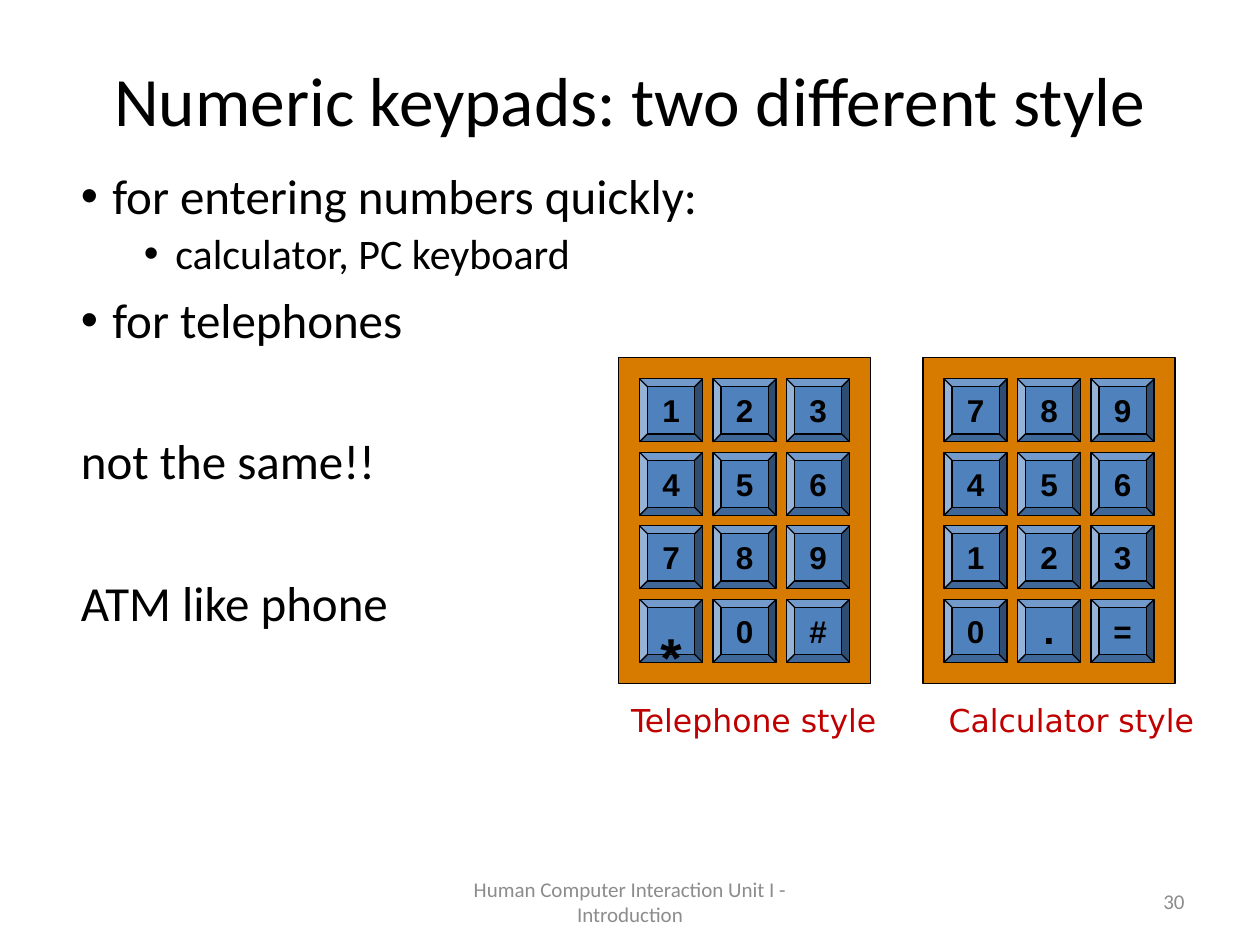
from lxml import etree
from pptx import Presentation
from pptx.dml.color import RGBColor
from pptx.enum.shapes import MSO_SHAPE
from pptx.enum.text import MSO_ANCHOR, MSO_AUTO_SIZE, PP_ALIGN
from pptx.oxml.ns import qn
from pptx.util import Pt

RECTANGLE, BEVEL = MSO_SHAPE.RECTANGLE, MSO_SHAPE.BEVEL
LEFT, CENTER, RIGHT = PP_ALIGN.LEFT, PP_ALIGN.CENTER, PP_ALIGN.RIGHT
MIDDLE, TOP = MSO_ANCHOR.MIDDLE, MSO_ANCHOR.TOP
NO_FIT = MSO_AUTO_SIZE.NONE

COLORS = {"text": "000000", "footer": "8C8C8C", "panel": "D77A00",
          "key": "4F81BD", "caption": "C00000"}


def write(paragraph, text, size, font="Calibri", color="text", align=LEFT):
    paragraph.text = text
    paragraph.alignment = align
    paragraph.font.size = Pt(size)
    paragraph.font.name = font
    paragraph.font.color.rgb = RGBColor.from_string(COLORS[color])


def add_block(shapes, preset, left, top, width, height, fill):
    """Add a filled preset shape with a thin black outline."""
    block = shapes.add_shape(preset, Pt(left), Pt(top), Pt(width), Pt(height))
    block.shadow.inherit = False
    block.fill.solid()
    block.fill.fore_color.rgb = RGBColor.from_string(COLORS[fill])
    block.line.color.rgb = RGBColor.from_string(COLORS["text"])
    block.line.width = Pt(0.75)
    return block


prs = Presentation()
prs.slide_width, prs.slide_height = Pt(720), Pt(540)
slide = prs.slides.add_slide(prs.slide_layouts[1])

# Title and list
title, body = slide.placeholders
title.left, title.top, title.width, title.height = Pt(49.5), Pt(17.5), Pt(621), Pt(78)
title.text_frame.auto_size = NO_FIT
title.text_frame.vertical_anchor = MIDDLE
write(title.text_frame.paragraphs[0], "Numeric keypads: two different style", 39.6, align=CENTER)

body.left, body.top, body.width, body.height = Pt(39), Pt(94.5), Pt(664), Pt(342)
body.text_frame.auto_size = NO_FIT
points = [  # text, level, size, space before, bulleted
    ("for entering numbers quickly:", 0, 28, 10, True),
    ("calculator, PC keyboard", 1, 24, 5, True),
    ("for telephones", 0, 28, 10, True),
    ("not the same!!", 0, 28, 50.5, False),
    ("ATM like phone", 0, 28, 50.5, False),
]
for i, (text, level, size, space, bulleted) in enumerate(points):
    point = body.text_frame.add_paragraph() if i else body.text_frame.paragraphs[0]
    write(point, text, size)
    point.level = level
    point.line_spacing = 0.9
    point.space_before = Pt(space)
    props = point._p.get_or_add_pPr()
    props.set("marL", str(Pt(18 + 36 * level)))
    props.set("indent", str(Pt(-18)))
    bullet = etree.Element(qn("a:buChar" if bulleted else "a:buNone"))
    if bulleted:
        bullet.set("char", "•")
        bullet_font = etree.Element(qn("a:buFont"), typeface="Arial")
        props.insert_element_before(bullet_font, "a:defRPr")
    props.insert_element_before(bullet, "a:defRPr")

# Keypads
PANEL_TOP, MARGIN, KEY, GAP = 204.5, 12, 36, 6
PITCH = KEY + GAP
keypads = [(353.5, ["123", "456", "789", "*0#"]),
           (527.5, ["789", "456", "123", "0.="])]
special_keys = {"*": (54, "-10000"), ".": (40, "20000")}  # size, baseline shift

for panel_left, rows in keypads:
    keypad = slide.shapes.add_group_shape()
    panel_width = 2 * MARGIN + len(rows[0]) * PITCH - GAP
    panel_height = 2 * MARGIN + len(rows) * PITCH - GAP
    add_block(keypad.shapes, RECTANGLE, panel_left, PANEL_TOP, panel_width, panel_height, "panel")
    for row, symbols in enumerate(rows):
        for column, symbol in enumerate(symbols):
            key = add_block(keypad.shapes, BEVEL, panel_left + MARGIN + column * PITCH,
                            PANEL_TOP + MARGIN + row * PITCH, KEY, KEY, "key")
            key.text_frame.word_wrap = False
            key.text_frame.vertical_anchor = MIDDLE
            size, baseline = special_keys.get(symbol, (18, None))
            label = key.text_frame.paragraphs[0]
            write(label, symbol, size, "Arial", align=CENTER)
            label.font.bold = True
            if baseline:
                label.runs[0].font._element.set("baseline", baseline)

# Captions, footer and slide number
notes = [  # text, left, top, width, size, font, color, align, anchor, wrap
    ("Telephone style", 353.5, 397, 156, 18, "DejaVu Sans", "caption", LEFT, TOP, False),
    ("Calculator style", 535, 397, 156, 18, "DejaVu Sans", "caption", LEFT, TOP, False),
    ("Human Computer Interaction Unit I - Introduction", 246, 500.5, 228, 12,
     "Calibri", "footer", CENTER, MIDDLE, True),
    ("30", 516, 500.5, 168, 12, "Calibri", "footer", RIGHT, MIDDLE, True),
]
for text, left, top, width, size, font, color, align, anchor, wrap in notes:
    frame = slide.shapes.add_textbox(Pt(left), Pt(top), Pt(width), Pt(29)).text_frame
    frame.word_wrap = wrap
    frame.vertical_anchor = anchor
    write(frame.paragraphs[0], text, size, font, color, align)

prs.save("out.pptx")
